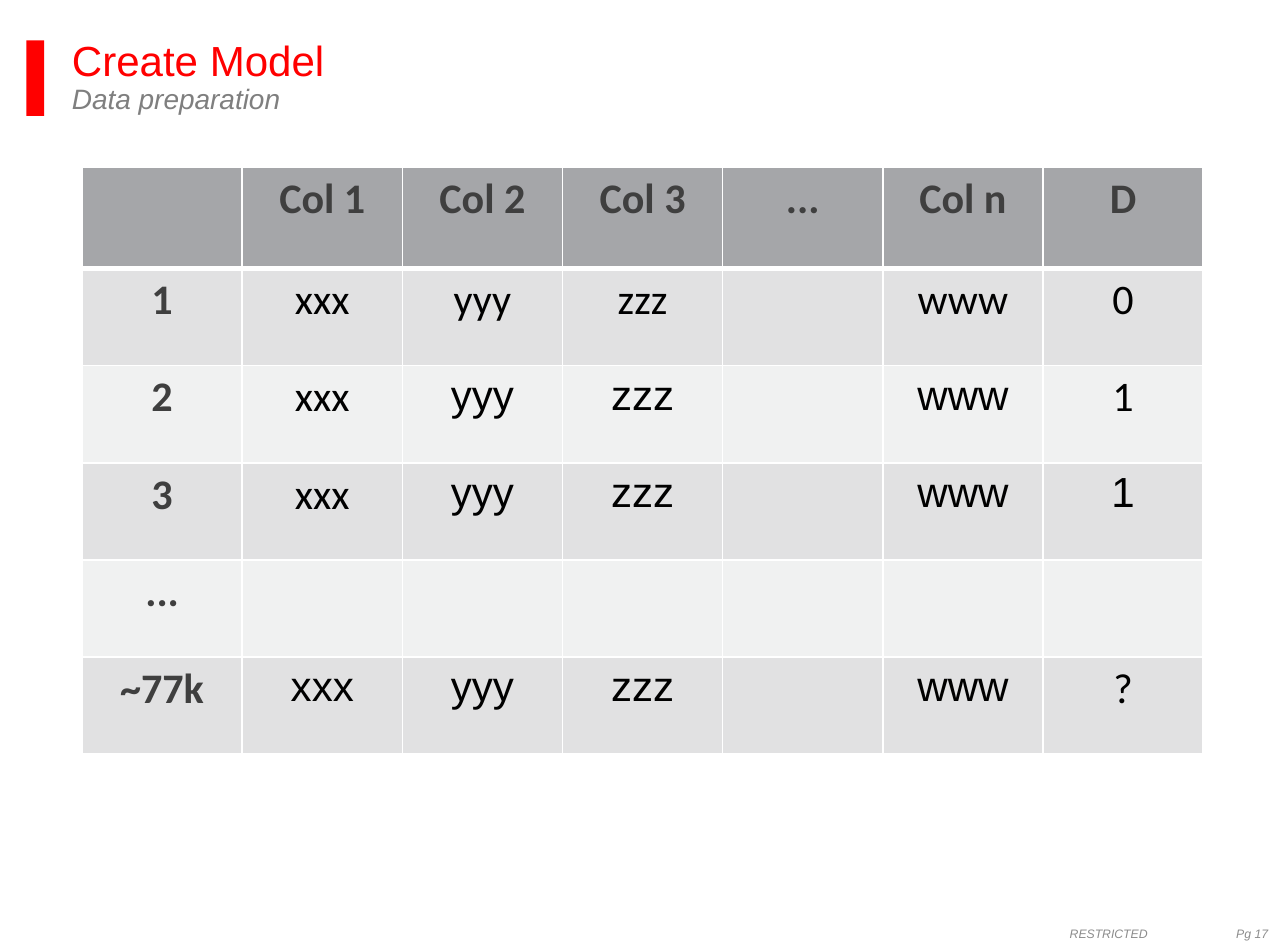
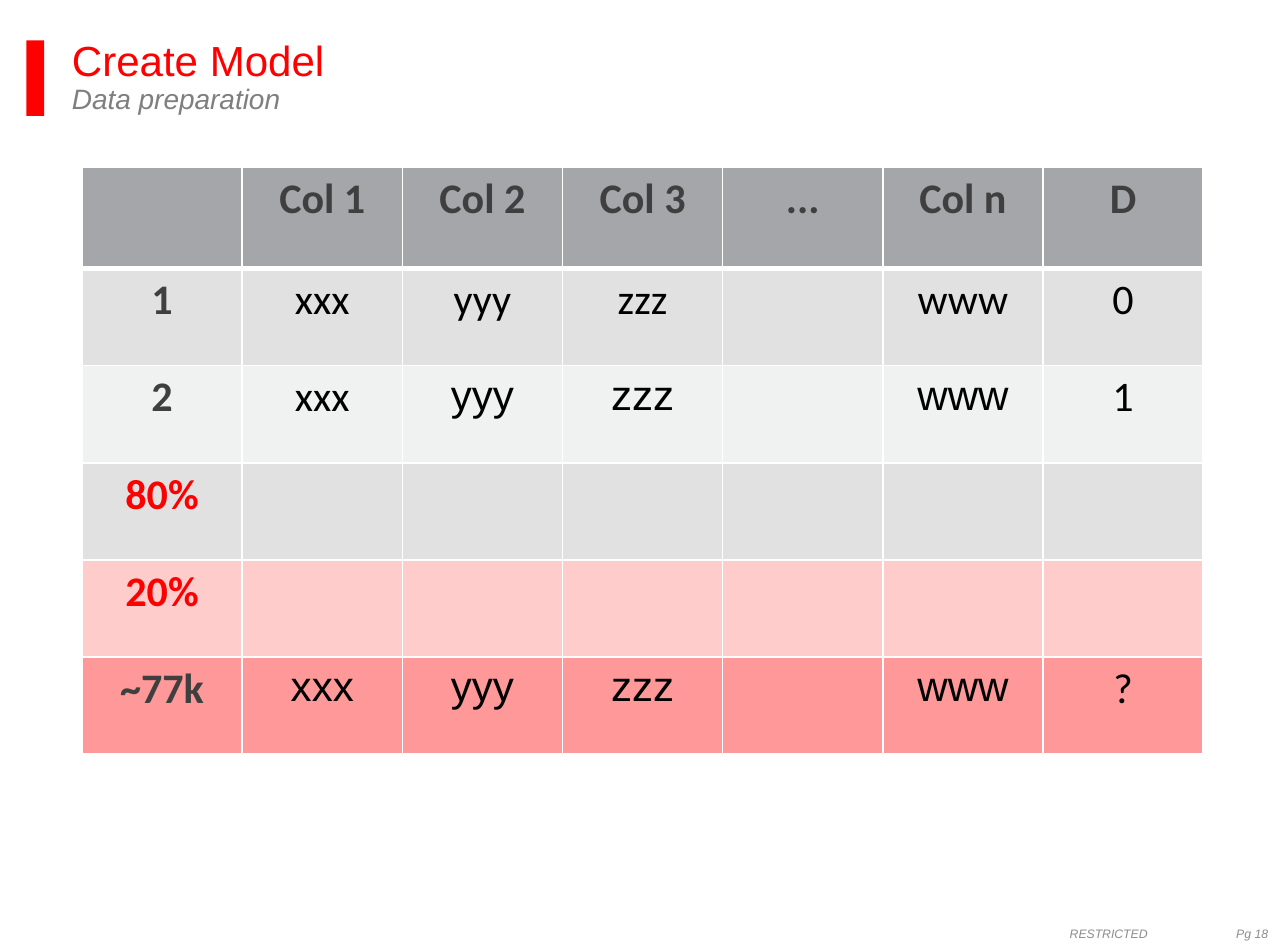
from dataclasses import dataclass

from pptx import Presentation
from pptx.dml.color import RGBColor
from pptx.enum.shapes import MSO_SHAPE
from pptx.enum.text import MSO_ANCHOR, MSO_AUTO_SIZE, PP_ALIGN
from pptx.oxml import parse_xml
from pptx.oxml.ns import nsdecls
from pptx.util import Inches, Pt


# Colours, fonts and sizes
@dataclass(frozen=True)
class Theme:
    red: str = "FF0000"
    subtitle: str = "7F7F7F"
    footer: str = "8C8C8C"
    label: str = "3F3F3F"
    value: str = "000000"
    white: str = "FFFFFF"
    header: str = "A5A6A9"
    dark_band: str = "E1E1E2"
    light_band: str = "F0F1F1"
    pale_red: str = "FFCCCC"
    mid_red: str = "FF9999"
    font: str = "Arial"
    table_font: str = "Calibri"
    title_size: int = 24
    subtitle_size: int = 16
    table_size: int = 24
    footer_size: int = 7


THEME = Theme()


# One table row; wide lists the columns set in the main font
@dataclass(frozen=True)
class Row:
    cells: tuple
    fill: str
    label_color: str = THEME.label
    wide: tuple = ()


def add_text(p, text, *, size, color, font=THEME.font, bold=False, italic=False):
    r = p.add_run()
    r.text = text
    r.font.name = font
    r.font.size = Pt(size)
    r.font.bold = bold
    r.font.italic = italic
    r.font.color.rgb = RGBColor.from_string(color)


def set_borders(cell, **widths):
    """Give the cell white borders; widths by side, in points."""
    tc_pr = cell._tc.get_or_add_tcPr()
    for side in "LRTB":
        tc_pr.append(parse_xml(
            f'<a:ln{side} {nsdecls("a")} w="{Pt(widths.get(side, 1))}">'
            f'<a:solidFill><a:srgbClr val="{THEME.white}"/></a:solidFill>'
            f'</a:ln{side}>'))


class Deck:
    def __init__(self, theme):
        self.theme = theme
        self.prs = Presentation()
        self.prs.slide_width = Inches(10.21)
        self.prs.slide_height = Inches(7.5)
        self.slide = None

    def add_slide(self, title, subtitle, page):
        self.slide = self.prs.slides.add_slide(self.prs.slide_layouts[5])
        self.bar()
        self.title(title, subtitle)
        self.footer(page)

    def bar(self):
        sp = self.slide.shapes.add_shape(
            MSO_SHAPE.RECTANGLE, Inches(0.21), Inches(0.32), Inches(0.14), Inches(0.6))
        sp.shadow.inherit = False
        sp.fill.solid()
        sp.fill.fore_color.rgb = RGBColor.from_string(self.theme.red)
        sp.line.fill.background()

    def title(self, title, subtitle):
        t = self.theme
        sp = self.slide.shapes.title
        sp.left, sp.top = Inches(0.57), Inches(0.32)
        sp.width, sp.height = Inches(9.5), Inches(0.75)
        tf = sp.text_frame
        tf.margin_left = tf.margin_top = tf.margin_right = 0
        tf.margin_bottom = Inches(0.02)
        tf.vertical_anchor = MSO_ANCHOR.TOP
        tf.auto_size = MSO_AUTO_SIZE.NONE
        p = tf.paragraphs[0]
        p.alignment = PP_ALIGN.LEFT
        p.line_spacing = 0.9
        add_text(p, title, size=t.title_size, color=t.red)
        p.add_line_break()
        add_text(p, subtitle, size=t.subtitle_size, color=t.subtitle, italic=True)

    def footer(self, page):
        t = self.theme
        sp = self.slide.shapes.add_textbox(
            Inches(7.65), Inches(7.2), Inches(3.23), Inches(0.4))
        tf = sp.text_frame
        tf.word_wrap = True
        tf.margin_left = Inches(0.83)
        tf.vertical_anchor = MSO_ANCHOR.MIDDLE
        p = tf.paragraphs[0]
        p.alignment = PP_ALIGN.LEFT
        p._p.get_or_add_pPr().append(parse_xml(
            f'<a:tabLst {nsdecls("a")}><a:tab pos="{Inches(1.32)}" algn="l"/></a:tabLst>'))
        add_text(p, f"RESTRICTED\tPg {page}", size=t.footer_size, color=t.footer,
                 italic=True)

    def table(self, rows):
        n_cols = len(rows[0].cells)
        table = self.slide.shapes.add_table(
            len(rows), n_cols, Inches(0.65), Inches(1.33),
            Inches(8.87), Inches(5.4)).table
        table.horz_banding = False
        for col in table.columns:
            col.width = Inches(1.27)
        for i, row in enumerate(rows):
            table.rows[i].height = Inches(0.77 if i else 0.8)
            for j, text in enumerate(row.cells):
                self.cell(table.cell(i, j), text, row, i, j)

    def cell(self, cell, text, row, i, j):
        t = self.theme
        set_borders(cell, T=3 if i == 1 else 1, B=1 if i else 3)
        cell.fill.solid()
        cell.fill.fore_color.rgb = RGBColor.from_string(row.fill)
        if not text:
            return
        is_label = i == 0 or j == 0
        p = cell.text_frame.paragraphs[0]
        p.alignment = PP_ALIGN.CENTER
        add_text(p, text, size=t.table_size, bold=is_label,
                 color=row.label_color if is_label else t.value,
                 font=t.font if j in row.wide else t.table_font)


def main():
    t = THEME
    deck = Deck(t)
    empty = ("",) * 6

    # Rows that both slides share
    top = [
        Row(("", "Col 1", "Col 2", "Col 3", "...", "Col n", "D"), t.header),
        Row(("1", "xxx", "yyy", "zzz", "", "www", "0"), t.dark_band),
        Row(("2", "xxx", "yyy", "zzz", "", "www", "1"), t.light_band, wide=(2, 3, 5)),
    ]
    last_cells = ("~77k", "xxx", "yyy", "zzz", "", "www", "?")
    last_wide = (1, 2, 3, 5)
    blank = Row(("",) + empty, t.white)

    # All records, then the 80/20 split
    records = [
        Row(("3", "xxx", "yyy", "zzz", "", "www", "1"), t.dark_band, wide=(2, 3, 5, 6)),
        Row(("...",) + empty, t.light_band),
        Row(last_cells, t.dark_band, wide=last_wide),
    ]
    split = [
        Row(("80%",) + empty, t.dark_band, t.red),
        Row(("20%",) + empty, t.pale_red, t.red),
        Row(last_cells, t.mid_red, wide=last_wide),
    ]

    for page, rows in enumerate((records, split), start=17):
        deck.add_slide("Create Model", "Data preparation", page)
        deck.table(top + rows + [blank])

    deck.prs.save("out.pptx")


if __name__ == "__main__":
    main()
